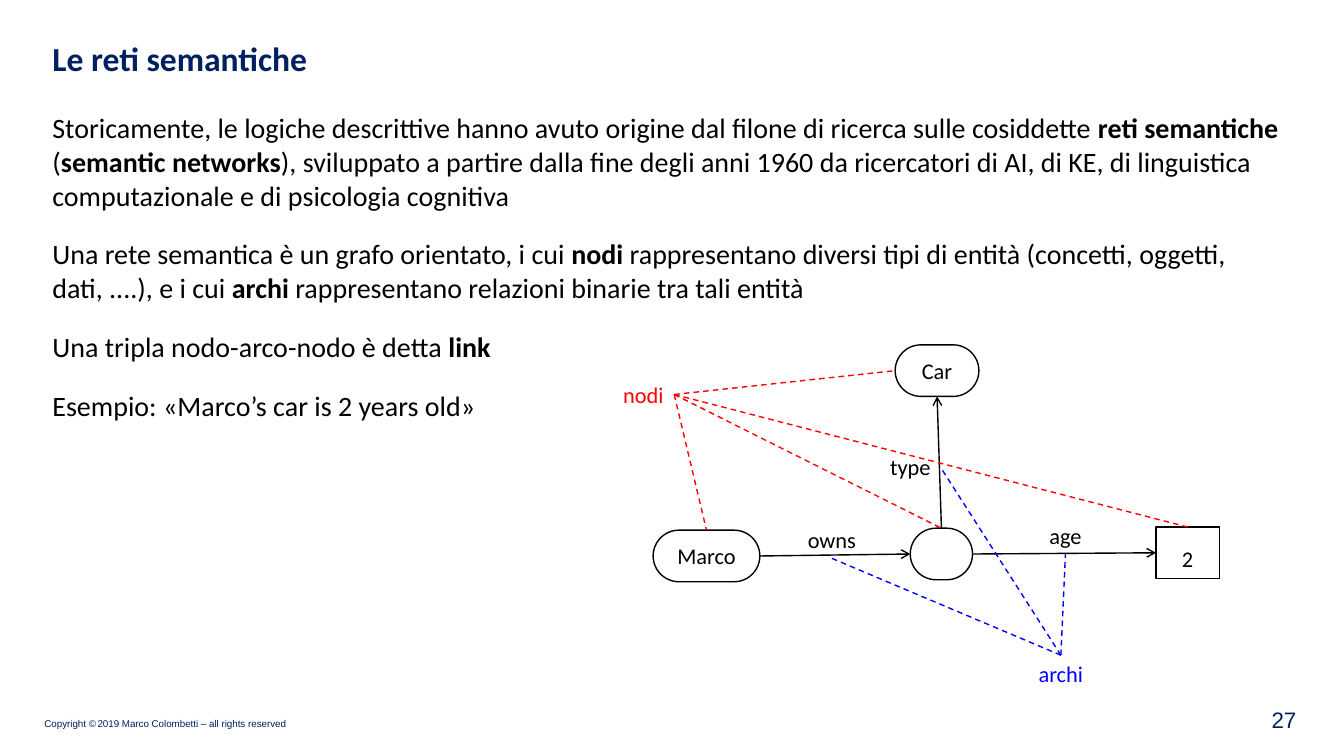
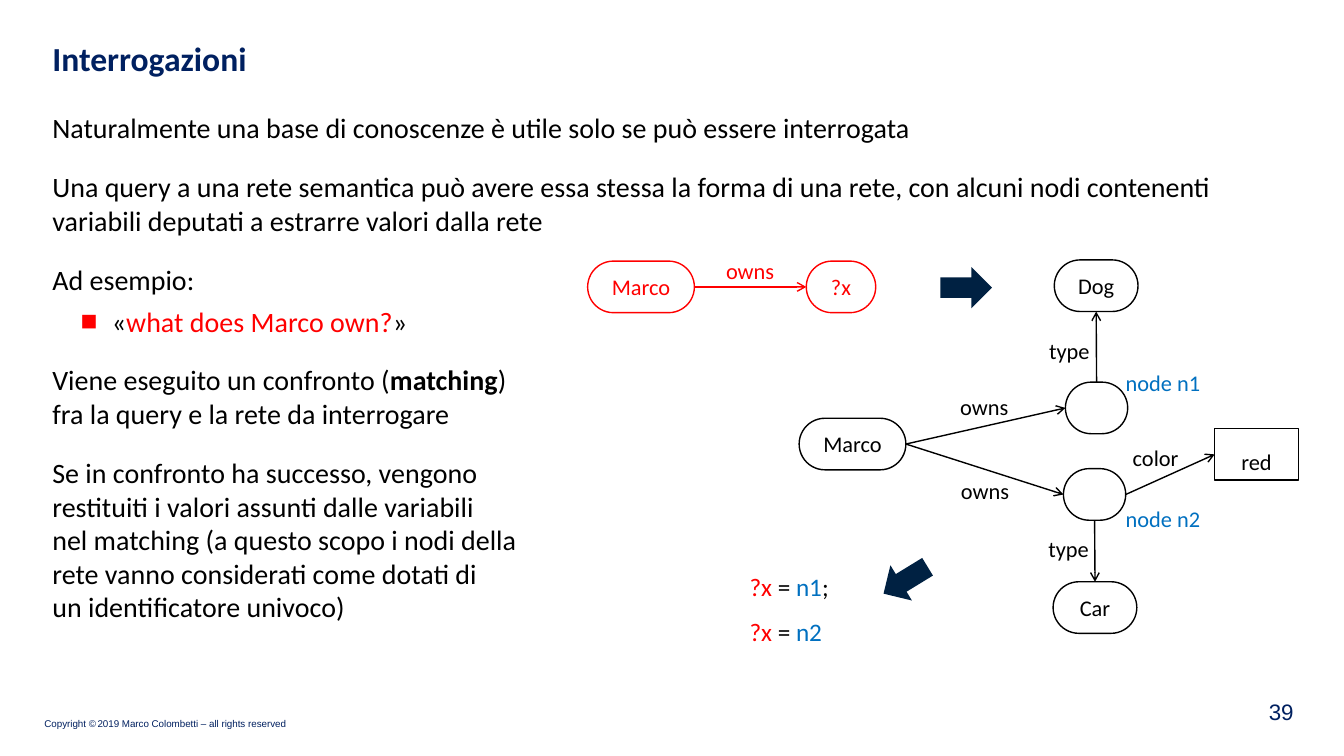
from lxml import etree
from pptx import Presentation
from pptx.dml.color import RGBColor
from pptx.enum.dml import MSO_LINE
from pptx.enum.shapes import MSO_CONNECTOR, MSO_SHAPE
from pptx.enum.text import MSO_ANCHOR, MSO_AUTO_SIZE, PP_ALIGN
from pptx.oxml.ns import qn
from pptx.util import Cm, Pt

NAVY = RGBColor(0x00, 0x20, 0x60)
DARK = RGBColor(0x00, 0x21, 0x42)
BLACK = RGBColor(0x00, 0x00, 0x00)
RED = RGBColor(0xFF, 0x00, 0x00)
BLUE = RGBColor(0x00, 0x00, 0xFF)
SKY = RGBColor(0x00, 0x70, 0xC0)

LEFT, CENTER, RIGHT = PP_ALIGN.LEFT, PP_ALIGN.CENTER, PP_ALIGN.RIGHT
ANCHOR_TOP, ANCHOR_MIDDLE, ANCHOR_BOTTOM = MSO_ANCHOR.TOP, MSO_ANCHOR.MIDDLE, MSO_ANCHOR.BOTTOM
FIT = MSO_AUTO_SIZE.SHAPE_TO_FIT_TEXT
PILL, BOX, BLOCK_ARROW = MSO_SHAPE.ROUNDED_RECTANGLE, MSO_SHAPE.RECTANGLE, MSO_SHAPE.RIGHT_ARROW
STRAIGHT = MSO_CONNECTOR.STRAIGHT
DASH = MSO_LINE.DASH
SITE_TOP, SITE_LEFT, SITE_BOTTOM, SITE_RIGHT = range(4)

NODE_HEIGHT = 1.3
LABEL_HEIGHT = 0.94
NAME_WIDTH, CLASS_WIDTH, BLANK_WIDTH = 2.69, 2.11, 1.57
OWNS_WIDTH, TYPE_WIDTH = 1.75, 1.78

TITLE = {"size": 24, "color": NAVY, "bold": True}
BODY = {"size": 20}
LABEL = {"size": 16}
RESULT = {"size": 18}
FOOTER = {"size": 7, "color": NAVY, "name": "Arial"}
NUMBER = {"size": 16, "color": NAVY, "name": "Arial"}
BOLD = {"bold": True}
IN_RED, IN_SKY = {"color": RED}, {"color": SKY}
BULLET = {"space_before": Pt(6), "bullet": RED}


class Deck:
    def __init__(self):
        self.presentation = Presentation()
        self.presentation.slide_width = Cm(33.87)
        self.presentation.slide_height = Cm(19.05)
        self.slide = None

    def start(self, title, number, number_left, number_top):
        self.slide = self.presentation.slides.add_slide(self.presentation.slide_layouts[6])
        footer = [("Copyright ©", {}), (" ", {"size": 4}),
                  ("2019 Marco Colombetti – all rights reserved ", {})]
        self.text([footer], 1.07, 18.01, 6.38, 0.41, FOOTER, anchor=ANCHOR_BOTTOM, inset=0.05)
        self.text([title], 1.07, 0.84, 31.78, 1.65, TITLE, wrap=True)
        self.text([number], number_left, number_top, 1.4, 0.89, NUMBER,
                  anchor=ANCHOR_MIDDLE, wrap=True, alignment=RIGHT)

    def runs(self, paragraph, content, style):
        pieces = [(content, {})] if isinstance(content, str) else content
        for text, changes in pieces:
            values = {"name": "Calibri", "color": BLACK, **style, **changes}
            for index, line in enumerate(text.split("\n")):
                if index:
                    paragraph.add_line_break()
                run = paragraph.add_run()
                run.text = line
                for key, value in values.items():
                    if key == "color":
                        run.font.color.rgb = value
                    else:
                        setattr(run.font, key, Pt(value) if key == "size" else value)

    def bullet(self, paragraph, color):
        properties = paragraph._p.get_or_add_pPr()
        properties.set("marL", str(Cm(1.5)))
        properties.set("indent", str(-Cm(0.79)))
        holder = etree.SubElement(properties, qn("a:buClr"))
        etree.SubElement(holder, qn("a:srgbClr"), val=str(color))
        etree.SubElement(properties, qn("a:buFont"), typeface="Arial")
        etree.SubElement(properties, qn("a:buChar"), char="■")

    def text(self, paragraphs, left, top, width, height, style, anchor=ANCHOR_TOP,
             wrap=False, inset=None, formats=None, **shared):
        shape = self.slide.shapes.add_textbox(Cm(left), Cm(top), Cm(width), Cm(height))
        frame = shape.text_frame
        frame.word_wrap = wrap
        frame.vertical_anchor = anchor
        if not wrap:
            frame.auto_size = FIT
        if inset is not None:
            for side in ("left", "top", "right", "bottom"):
                setattr(frame, f"margin_{side}", Cm(inset))
        for index, content in enumerate(paragraphs):
            paragraph = frame.add_paragraph() if index else frame.paragraphs[0]
            values = {**shared, **(formats or {}).get(index, {})}
            bullet_color = values.pop("bullet", None)
            for key, value in values.items():
                setattr(paragraph, key, value)
            if bullet_color is not None:
                self.bullet(paragraph, bullet_color)
            self.runs(paragraph, content, style)
        return shape

    def body(self, paragraphs, formats=None):
        self.text(paragraphs, 1.07, 2.67, 31.45, 14.07, BODY, wrap=True,
                  formats=formats, space_before=Pt(18))

    def label(self, text, left, top, width, color=BLACK, alignment=CENTER):
        return self.text([text], left, top, width, LABEL_HEIGHT,
                         {**LABEL, "color": color}, alignment=alignment)

    def node(self, text, left, top, width, color=BLACK, kind=PILL, spacing=None):
        shape = self.slide.shapes.add_shape(kind, Cm(left), Cm(top), Cm(width), Cm(NODE_HEIGHT))
        shape.shadow.inherit = False
        shape.fill.background()
        shape.line.color.rgb = color
        shape.line.width = Pt(1)
        if kind == PILL:
            shape.adjustments[0] = 0.5
        if text:
            frame = shape.text_frame
            frame.word_wrap = False
            frame.vertical_anchor = ANCHOR_MIDDLE
            paragraph = frame.paragraphs[0]
            paragraph.alignment = CENTER
            paragraph.line_spacing = spacing
            self.runs(paragraph, text, {**LABEL, "color": color})
        return shape

    def link(self, start, start_site, end, end_site, color=BLACK, dashed=False):
        connector = self.slide.shapes.add_connector(STRAIGHT, 0, 0, 0, 0)
        connector.begin_connect(start, start_site)
        connector.end_connect(end, end_site)
        connector.line.color.rgb = color
        connector.line.width = Pt(1)
        if dashed:
            connector.line.dash_style = DASH
        else:
            outline = connector.line._get_or_add_ln()
            etree.SubElement(outline, qn("a:tailEnd"), type="arrow")
        etree.SubElement(connector._element.spPr, qn("a:effectLst"))

    def block_arrow(self, left, top, rotation=0):
        shape = self.slide.shapes.add_shape(BLOCK_ARROW, Cm(left), Cm(top), Cm(1.3), Cm(1.04))
        shape.shadow.inherit = False
        shape.fill.solid()
        shape.fill.fore_color.rgb = DARK
        shape.line.fill.background()
        shape.rotation = rotation


def semantic_networks(deck):
    deck.start("Le reti semantiche", "27", 31.52, 17.68)
    deck.body([
        [("Storicamente, le logiche descrittive hanno avuto origine dal filone di ricerca "
          "sulle cosiddette ", {}), ("reti semantiche", BOLD), (" (", {}),
         ("semantic networks", BOLD),
         ("), sviluppato a partire dalla fine degli anni 1960 da ricercatori di AI, di KE, "
          "di linguistica computazionale e di psicologia cognitiva", {})],
        [("Una rete semantica è un grafo orientato, i cui ", {}), ("nodi", BOLD),
         (" rappresentano diversi tipi di entità (concetti, oggetti, dati, ....), e i cui ", {}),
         ("archi", BOLD), (" rappresentano relazioni binarie tra tali entità", {})],
        [("Una tripla nodo-arco-nodo è detta ", {}), ("link", BOLD)],
        "Esempio: «Marco’s car is 2 years old»",
    ])
    marco = deck.node("Marco", 16.46, 13.36, NAME_WIDTH)
    car = deck.node("Car", 22.56, 8.69, CLASS_WIDTH)
    blank = deck.node("", 22.94, 13.31, BLANK_WIDTH)
    years = deck.node("2", 29.13, 13.28, 1.6, kind=BOX, spacing=1.4)
    deck.link(marco, SITE_RIGHT, blank, SITE_LEFT)
    deck.link(blank, SITE_TOP, car, SITE_BOTTOM)
    deck.link(blank, SITE_RIGHT, years, SITE_LEFT)
    type_label = deck.label("type", 21.92, 11.3, TYPE_WIDTH, alignment=RIGHT)
    owns_label = deck.label("owns", 20.09, 13.13, OWNS_WIDTH)
    age_label = deck.label("age", 26.19, 13.03, 1.32)
    nodes_label = deck.label("nodi", 15.44, 9.47, 1.55, RED)
    for node, site in ((car, SITE_LEFT), (years, SITE_TOP), (blank, SITE_TOP), (marco, SITE_TOP)):
        deck.link(nodes_label, SITE_RIGHT, node, site, RED, dashed=True)
    arcs_label = deck.label("archi", 25.91, 16.51, 1.65, BLUE)
    for label, site in ((type_label, SITE_RIGHT), (age_label, SITE_BOTTOM),
                        (owns_label, SITE_BOTTOM)):
        deck.link(arcs_label, SITE_TOP, label, site, BLUE, dashed=True)


def queries(deck):
    deck.start("Interrogazioni", "39", 31.45, 17.48)
    deck.body([
        "Naturalmente una base di conoscenze è utile solo se può essere interrogata",
        "Una query a una rete semantica può avere essa stessa la forma di una rete, "
        "con alcuni nodi contenenti variabili deputati a estrarre valori dalla rete",
        "Ad esempio:",
        [("«", {}), ("what does Marco own?", IN_RED), ("»", {})],
        [("Viene eseguito un confronto (", {}), ("matching", BOLD),
         (")\nfra la query e la rete da interrogare", {})],
        "Se in confronto ha successo, vengono\nrestituiti i valori assunti dalle variabili\n"
        "nel matching (a questo scopo i nodi della\nrete vanno considerati come dotati di\n"
        "un identificatore univoco)",
    ], {3: BULLET})
    query_marco = deck.node("Marco", 14.81, 6.58, NAME_WIDTH, RED)
    variable = deck.node("?x", 20.32, 6.58, 1.75, RED)
    deck.link(query_marco, SITE_RIGHT, variable, SITE_LEFT, RED)
    deck.label("owns", 18.03, 6.35, OWNS_WIDTH, RED)

    marco = deck.node("Marco", 20.14, 10.54, NAME_WIDTH)
    dog = deck.node("Dog", 26.57, 6.55, CLASS_WIDTH)
    first = deck.node("", 26.85, 9.63, BLANK_WIDTH)
    car = deck.node("Car", 26.54, 14.66, CLASS_WIDTH)
    second = deck.node("", 26.8, 11.81, BLANK_WIDTH)
    red = deck.node("red", 30.61, 10.8, CLASS_WIDTH, kind=BOX, spacing=1.5)
    deck.link(marco, SITE_RIGHT, first, SITE_LEFT)
    deck.link(marco, SITE_RIGHT, second, SITE_LEFT)
    deck.link(first, SITE_TOP, dog, SITE_BOTTOM)
    deck.link(second, SITE_BOTTOM, car, SITE_TOP)
    deck.link(second, SITE_RIGHT, red, SITE_LEFT)
    deck.label("owns", 23.93, 9.78, OWNS_WIDTH)
    deck.label("owns", 23.95, 11.91, OWNS_WIDTH)
    deck.label("type", 25.93, 8.36, TYPE_WIDTH, alignment=RIGHT)
    deck.label("type", 25.91, 13.36, TYPE_WIDTH, alignment=RIGHT)
    deck.label("color", 28.27, 11.07, 1.68, alignment=RIGHT)
    deck.label("node n1", 28.12, 9.17, 2.41, SKY, LEFT)
    deck.label("node n2", 28.12, 12.6, 2.41, SKY, LEFT)

    deck.block_arrow(23.7, 6.73)
    deck.block_arrow(22.17, 14.1, 148.6)
    deck.text([
        [("?x", IN_RED), (" = ", {}), ("n1", IN_SKY), (";", {})],
        [("?x", IN_RED), (" = ", {}), ("n2", IN_SKY)],
    ], 18.64, 14.27, 2.54, 2.06, RESULT, formats={1: {"line_spacing": 1.5}})


deck = Deck()
semantic_networks(deck)
queries(deck)
deck.presentation.save("out.pptx")
